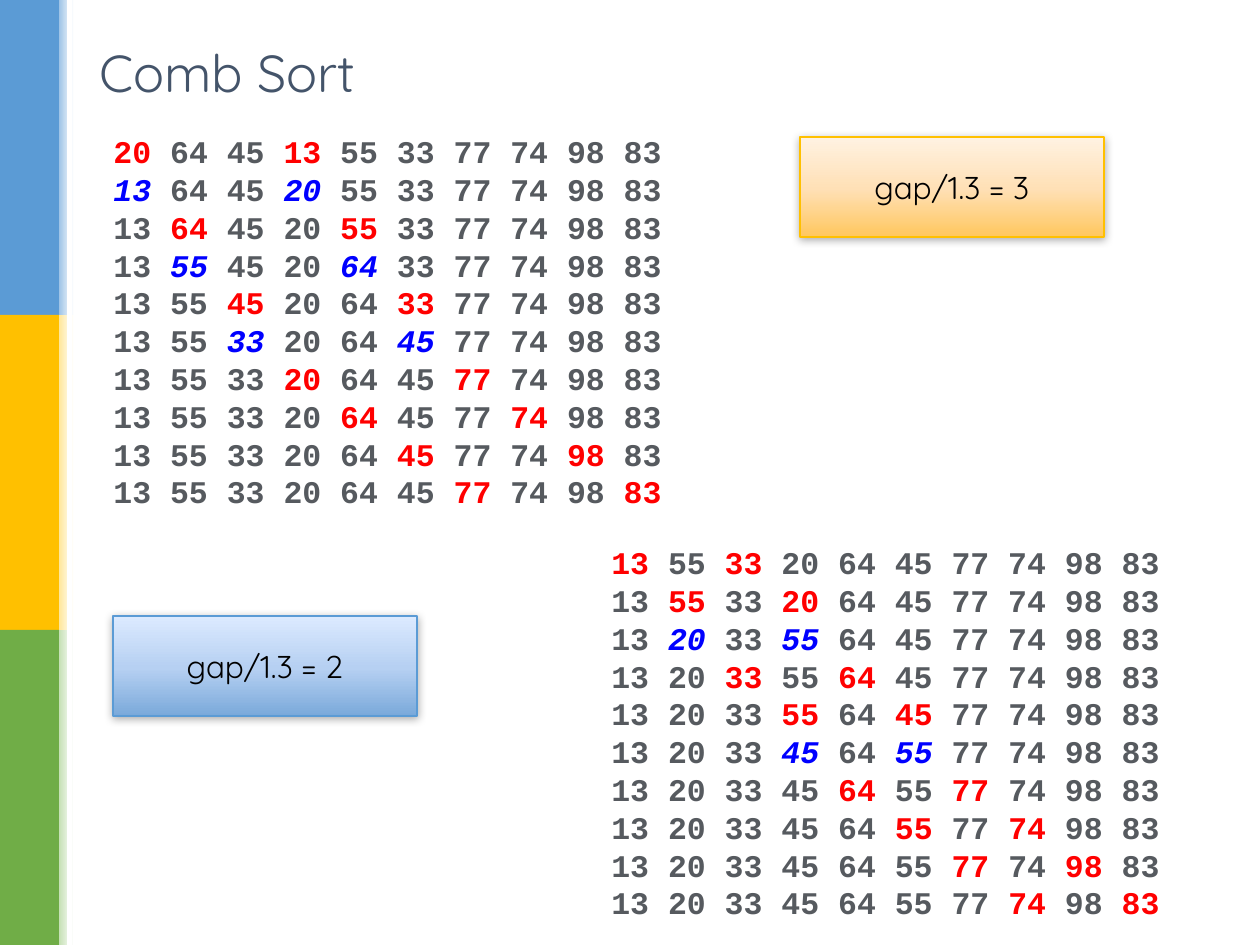
from lxml.etree import SubElement
from pptx import Presentation
from pptx.dml.color import RGBColor
from pptx.enum.shapes import MSO_SHAPE as Shape
from pptx.enum.text import MSO_ANCHOR as Anchor, MSO_AUTO_SIZE as AutoSize, PP_ALIGN as Align
from pptx.oxml.ns import qn
from pptx.util import Emu, Pt

PX = 914400 / 126
PAGE_WIDTH, PAGE_HEIGHT = 1260, 945

WHITE = RGBColor(0xFF, 0xFF, 0xFF)
BLACK = RGBColor(0x00, 0x00, 0x00)
SLATE = RGBColor(0x44, 0x54, 0x6A)
GREY = RGBColor(0x56, 0x5A, 0x5F)
RED = RGBColor(0xFF, 0x00, 0x00)
BLUE = RGBColor(0x00, 0x00, 0xFF)
SKY = RGBColor(0x5B, 0x9B, 0xD5)
GOLD = RGBColor(0xFF, 0xC0, 0x00)
GREEN = RGBColor(0x70, 0xAD, 0x47)
PALE_SKY = RGBColor(0x9D, 0xC3, 0xE6)
PALE_GOLD = RGBColor(0xFF, 0xE6, 0x99)
PALE_GREEN = RGBColor(0xC5, 0xE0, 0xB4)
GOLD_STOPS = [
    (0, RGBColor(0xFF, 0xC7, 0x5E)),
    (48, RGBColor(0xFF, 0xE0, 0xB6)),
    (100, RGBColor(0xFF, 0xF2, 0xE2)),
]
SKY_STOPS = [
    (0, RGBColor(0x7A, 0xA9, 0xDA)),
    (48, RGBColor(0xB6, 0xD0, 0xF2)),
    (100, RGBColor(0xDC, 0xEA, 0xFF)),
]

HEADING_FONT = "Quicksand"
CODE_FONT = "Courier New"
NUMBERS = [20, 64, 45, 13, 55, 33, 77, 74, 98, 83]


def px(*lengths):
    return [Emu(round(length * PX)) for length in lengths]


def add_span(para, text, font, size, color, bold=None, italic=None):
    span = para.add_run()
    span.text = text
    span.font.name = font
    span.font.size = Pt(size)
    span.font.color.rgb = color
    span.font.bold = bold
    span.font.italic = italic


def add_rectangle(page, box, color=None):
    rectangle = page.shapes.add_shape(Shape.RECTANGLE, *px(*box))
    rectangle.shadow.inherit = False
    rectangle.line.fill.background()
    if color is not None:
        rectangle.fill.solid()
        rectangle.fill.fore_color.rgb = color
    return rectangle


def set_gradient(shape, stops, angle):
    shape.fill.gradient()
    shape.fill.gradient_angle = angle
    stop_list = shape._element.spPr.find(".//" + qn("a:gsLst"))
    stop_list.clear()
    for position, color in stops:
        stop = SubElement(stop_list, qn("a:gs"), pos=str(position * 1000))
        SubElement(stop, qn("a:srgbClr"), val=str(color))


def set_shadow(shape):
    effects = shape._element.spPr.find(qn("a:effectLst"))
    shadow = SubElement(
        effects, qn("a:outerShdw"), blurRad=str(Pt(5)), dist=str(Pt(1)),
        dir="5400000", rotWithShape="0",
    )
    color = SubElement(shadow, qn("a:srgbClr"), val=str(BLACK))
    SubElement(color, qn("a:alpha"), val="32000")


def add_sidebar(page, box):
    left, top, width, height = box
    bands = [(SKY, PALE_SKY), (GOLD, PALE_GOLD), (GREEN, PALE_GREEN)]
    band_height = height // len(bands)
    fade_width = 15
    for index, (color, pale) in enumerate(bands):
        band_top = top + index * band_height
        add_rectangle(page, (left, band_top, width, band_height), color)
        fade = add_rectangle(page, (left + width, band_top, fade_width, band_height))
        set_gradient(fade, [(0, pale), (100, WHITE)], 0)
    add_rectangle(page, (left + width + 8, top, 5, height), WHITE)


def add_title(page, box, text):
    title = page.shapes.title
    title.left, title.top, title.width, title.height = px(*box)
    frame = title.text_frame
    frame.auto_size = AutoSize.NONE
    frame.vertical_anchor = Anchor.MIDDLE
    para = frame.paragraphs[0]
    para.alignment = Align.LEFT
    add_span(para, text, HEADING_FONT, 29.7, SLATE)


def add_gap_label(page, box, gap, stops, outline):
    label = add_rectangle(page, box)
    set_gradient(label, stops, 90)
    set_shadow(label)
    label.line.color.rgb = outline
    label.line.width = Pt(1)
    label.text_frame.vertical_anchor = Anchor.MIDDLE
    para = label.text_frame.paragraphs[0]
    para.alignment = Align.CENTER
    add_span(para, f"gap/1.3 = {gap}", HEADING_FONT, 18, BLACK)


def comb_pass(numbers, gap):
    row = list(numbers)
    steps = []
    for first in range(len(row) - gap):
        second = first + gap
        steps.append((list(row), first, False))
        if row[first] > row[second]:
            row[first], row[second] = row[second], row[first]
            steps.append((list(row), first, True))
    return steps, row


def add_step(para, row, first, gap, swapped):
    words = [str(number) for number in row]
    second = first + gap
    before = "".join(word + " " for word in words[:first])
    between = " " + "".join(word + " " for word in words[first + 1:second])
    after = "".join(" " + word for word in words[second + 1:])
    accent = BLUE if swapped else RED
    parts = [
        (before, GREY, False),
        (words[first], accent, swapped),
        (between, GREY, False),
        (words[second], accent, swapped),
        (after, GREY, False),
    ]
    for text, color, italic in parts:
        if text:
            add_span(para, text, CODE_FONT, 18, color, True, italic)


def add_pass(page, box, numbers, gap):
    steps, result = comb_pass(numbers, gap)
    frame = page.shapes.add_textbox(*px(*box)).text_frame
    frame.word_wrap = True
    frame.auto_size = AutoSize.SHAPE_TO_FIT_TEXT
    for index, (row, first, swapped) in enumerate(steps):
        para = frame.add_paragraph() if index else frame.paragraphs[0]
        para.line_spacing = Pt(21.6)
        add_step(para, row, first, gap, swapped)
    return result


def main():
    deck = Presentation()
    deck.slide_width, deck.slide_height = px(PAGE_WIDTH, PAGE_HEIGHT)
    page = deck.slides.add_slide(deck.slide_layouts[5])
    add_sidebar(page, (0, 0, 59, PAGE_HEIGHT))
    add_title(page, (87, 35, 1086, 73), "Comb Sort")
    add_gap_label(page, (800, 137, 304, 100), 3, GOLD_STOPS, GOLD)
    add_gap_label(page, (113, 616, 304, 100), 2, SKY_STOPS, SKY)
    combed = add_pass(page, (101, 126, 651, 394), NUMBERS, 3)
    add_pass(page, (599, 537, 630, 394), combed, 2)
    deck.save("out.pptx")


if __name__ == "__main__":
    main()
